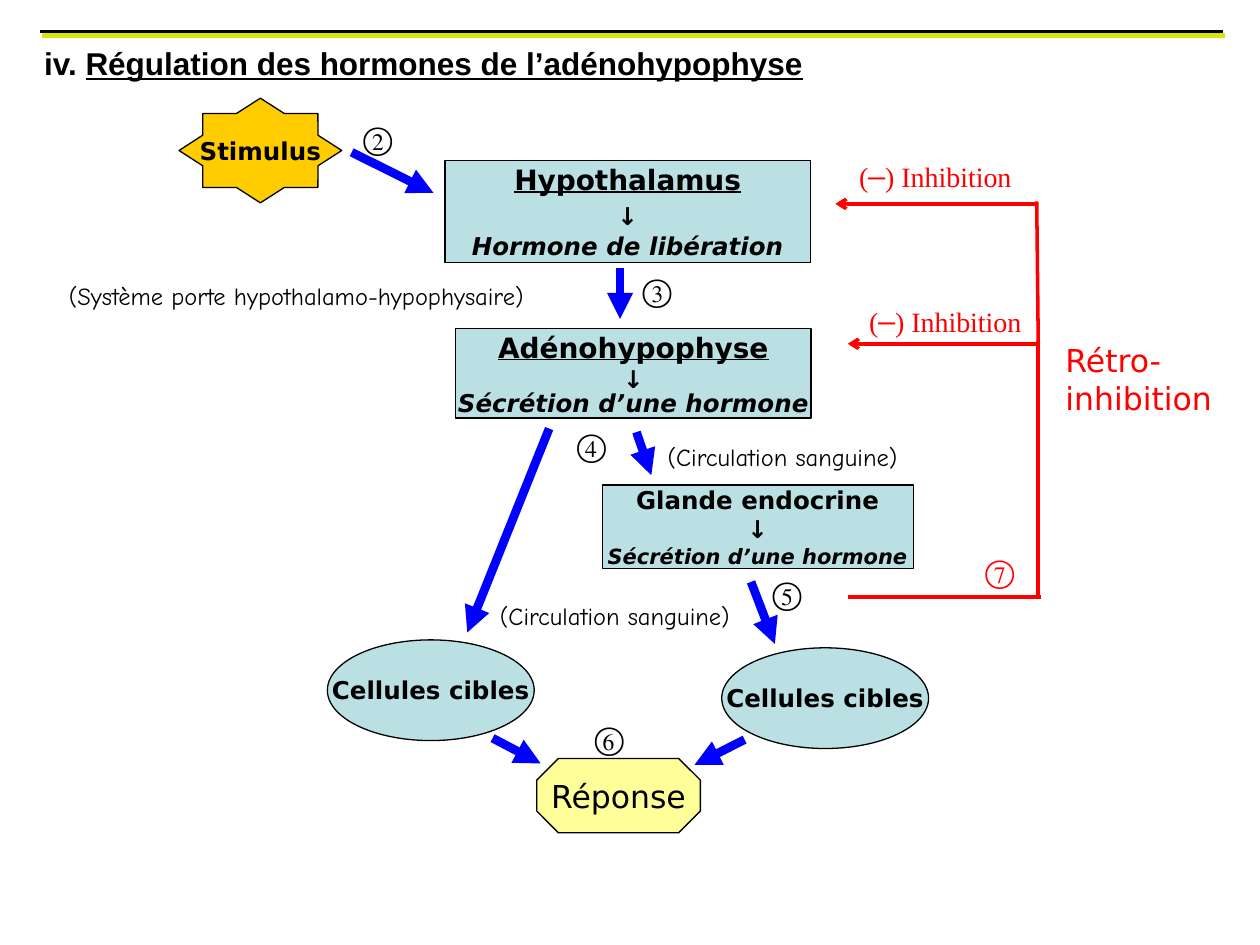
import pptx
import pptx.dml.color
import pptx.enum.shapes
import pptx.enum.text
import pptx.oxml
import pptx.oxml.ns
import pptx.util

Cm, Pt = pptx.util.Cm, pptx.util.Pt
SHAPE = pptx.enum.shapes.MSO_SHAPE
ALIGN = pptx.enum.text.PP_ALIGN

BLACK, RED, BLUE = "000000", "FF0000", "0000FF"
LIME, TEAL, GOLD, YELLOW = "D9E30D", "BBE0E3", "FFCC00", "FFFF99"
SANS, HAND, SERIF, MONO = "DejaVu Sans", "Comic Neue", "Times New Roman", "Courier New"

# Steps: shape, adjustment, fill, (left, top, width, height) in cm,
# lines as (text, size, styles, space before, line spacing)
STEPS = [
    (SHAPE.RECTANGLE, None, TEAL, (8.97, 3.23, 7.37, 2.06),
     [("Hypothalamus", 16, "bu", 0, 1), ("↓", 14, "b", 3, 1),
      ("Hormone de libération", 14, "bi", 0, 1)]),
    (SHAPE.RECTANGLE, None, TEAL, (9.19, 6.63, 7.16, 1.8),
     [("Adénohypophyse", 16, "bu", 0, 1), ("↓", 14, "b", 0, 1),
      ("Sécrétion d’une hormone", 14, "bi", 0, 0.8)]),
    (SHAPE.RECTANGLE, None, TEAL, (12.14, 9.78, 6.27, 1.68),
     [("Glande endocrine", 14, "b", 0, 1), ("↓", 14, "b", 0, 1),
      ("Sécrétion d’une hormone", 12, "bi", 0, 1)]),
    (SHAPE.OVAL, None, TEAL, (6.6, 12.9, 4.17, 2.03),
     [("Cellules cibles", 14, "b", 0, 1)]),
    (SHAPE.OVAL, None, TEAL, (14.55, 13.06, 4.17, 2.03),
     [("Cellules cibles", 14, "b", 0, 1)]),
    (SHAPE.STAR_8_POINT, 0.383, GOLD, (3.61, 1.98, 3.28, 2.11),
     [("Stimulus", 14, "b", 0, 1)]),
    (SHAPE.OCTAGON, 0.293, YELLOW, (10.82, 15.29, 3.3, 1.5),
     [("Réponse", 18, "", 0, 1)]),
]

# Lines: colour, width in pt, arrowhead, list of (x1, y1, x2, y2) in cm
LINES = [
    (LIME, 3, None, [(0.84, 0.71, 24.69, 0.71)]),
    (BLACK, 1.5, None, [(0.81, 0.64, 24.66, 0.64)]),
    (BLUE, 5, "triangle", [
        (7.09, 3.07, 8.74, 3.89),
        (12.5, 5.41, 12.5, 6.43),
        (11.07, 8.64, 9.42, 12.75),
        (12.83, 8.71, 13.13, 9.58),
        (15.14, 11.73, 15.62, 12.98),
        (9.93, 14.88, 10.9, 15.39),
        (15.01, 14.91, 14, 15.42)]),
    (RED, 2, None, [
        (17.09, 12.04, 20.98, 12.04),
        (20.93, 12.04, 20.93, 6.88),
        (20.93, 6.93, 20.9, 4.06)]),
    (RED, 2, "arrow", [
        (20.93, 6.93, 17.09, 6.93),
        (20.9, 4.11, 16.84, 4.11)]),
]

# Labels: place in cm, size, colour, runs as (text, font, styles)
INHIBITION = [("(", SERIF, ""), ("─", MONO, ""), (") Inhibition", SERIF, "")]
BLOOD = [("(Circulation sanguine)", HAND, "")]
LABELS = [
    ((0.64, 0.76, 23.14, 1.02), 18, BLACK,
     [("iv. ", "Arial", "b"),
      ("Régulation des hormones de l’adénohypophyse", "Arial", "bu")]),
    ((1.14, 5.54, 10.52, 0.84), 14, BLACK,
     [("(Système porte hypothalamo-hypophysaire)", HAND, "")]),
    ((13.21, 8.79, 5.3, 0.84), 14, BLACK, BLOOD),
    ((9.83, 11.99, 5.3, 0.84), 14, BLACK, BLOOD),
    ((17.07, 3.1, 3.73, 0.94), 16, RED, INHIBITION),
    ((17.27, 6.02, 3.73, 0.94), 16, RED, INHIBITION),
    ((21.23, 6.76, 3.63, 1.78), 18, RED, [("Rétro-inhibition", SANS, "")]),
]

# Step numbers: text, left, top, colour
NUMBERS = [
    ("②", 7.32, 2.39, BLACK), ("③", 12.95, 5.46, BLACK),
    ("④", 11.63, 8.59, BLACK), ("⑤", 15.57, 11.58, BLACK),
    ("⑥", 11.99, 14.5, BLACK), ("⑦", 19.86, 11.13, RED),
]


def rgb(code):
    return pptx.dml.color.RGBColor.from_string(code)


def format_span(span, font, size, color, styles):
    span.font.name = font
    span.font.size = Pt(size)
    span.font.color.rgb = rgb(color)
    span.font.bold = "b" in styles
    span.font.italic = "i" in styles
    span.font.underline = "u" in styles


def add_line(page, ends, color, width, head):
    line = page.shapes.add_connector(
        pptx.enum.shapes.MSO_CONNECTOR.STRAIGHT, *map(Cm, ends))
    line.line.color.rgb = rgb(color)
    line.line.width = Pt(width)
    if head:
        tail = pptx.oxml.parse_xml(
            f'<a:tailEnd {pptx.oxml.ns.nsdecls("a")} type="{head}"/>')
        line.line._get_or_add_ln().append(tail)
    line._element.spPr.append(pptx.oxml.parse_xml(
        f'<a:effectLst {pptx.oxml.ns.nsdecls("a")}/>'))


def add_step(page, kind, adjustment, fill, place, lines):
    box = page.shapes.add_shape(kind, *map(Cm, place))
    box.shadow.inherit = False
    if adjustment is not None:
        box.adjustments[0] = adjustment
    box.fill.solid()
    box.fill.fore_color.rgb = rgb(fill)
    box.line.color.rgb = rgb(BLACK)
    box.line.width = Pt(0.75)
    frame = box.text_frame
    frame.word_wrap = False
    frame.vertical_anchor = pptx.enum.text.MSO_ANCHOR.MIDDLE
    frame.text = "\n".join(line[0] for line in lines)
    for para, (_, size, styles, before, spacing) in zip(frame.paragraphs, lines):
        para.alignment = ALIGN.CENTER
        para.space_before = Pt(before)
        para.line_spacing = float(spacing)
        format_span(para.runs[0], SANS, size, BLACK, styles)


def add_label(page, place, size, color, spans, margin=None):
    box = page.shapes.add_textbox(*map(Cm, place))
    frame = box.text_frame
    frame.word_wrap = True
    frame.auto_size = pptx.enum.text.MSO_AUTO_SIZE.SHAPE_TO_FIT_TEXT
    if margin is not None:
        frame.margin_left = frame.margin_right = Cm(margin)
        frame.margin_top = frame.margin_bottom = Cm(margin)
    for text, font, styles in spans:
        span = frame.paragraphs[0].add_run()
        span.text = text
        format_span(span, font, size, color, styles)


def main():
    deck = pptx.Presentation()
    deck.slide_width, deck.slide_height = Cm(25.4), Cm(19.05)
    page = deck.slides.add_slide(deck.slide_layouts[6])

    for step in STEPS:
        add_step(page, *step)
    for color, width, head, group in LINES:
        for ends in group:
            add_line(page, ends, color, width, head)
    for label in LABELS:
        add_label(page, *label)
    for text, left, top, color in NUMBERS:
        add_label(page, (left, top, 0.58, 0.76), 18, color, [(text, SERIF, "")], 0)

    deck.save("out.pptx")


if __name__ == "__main__":
    main()
